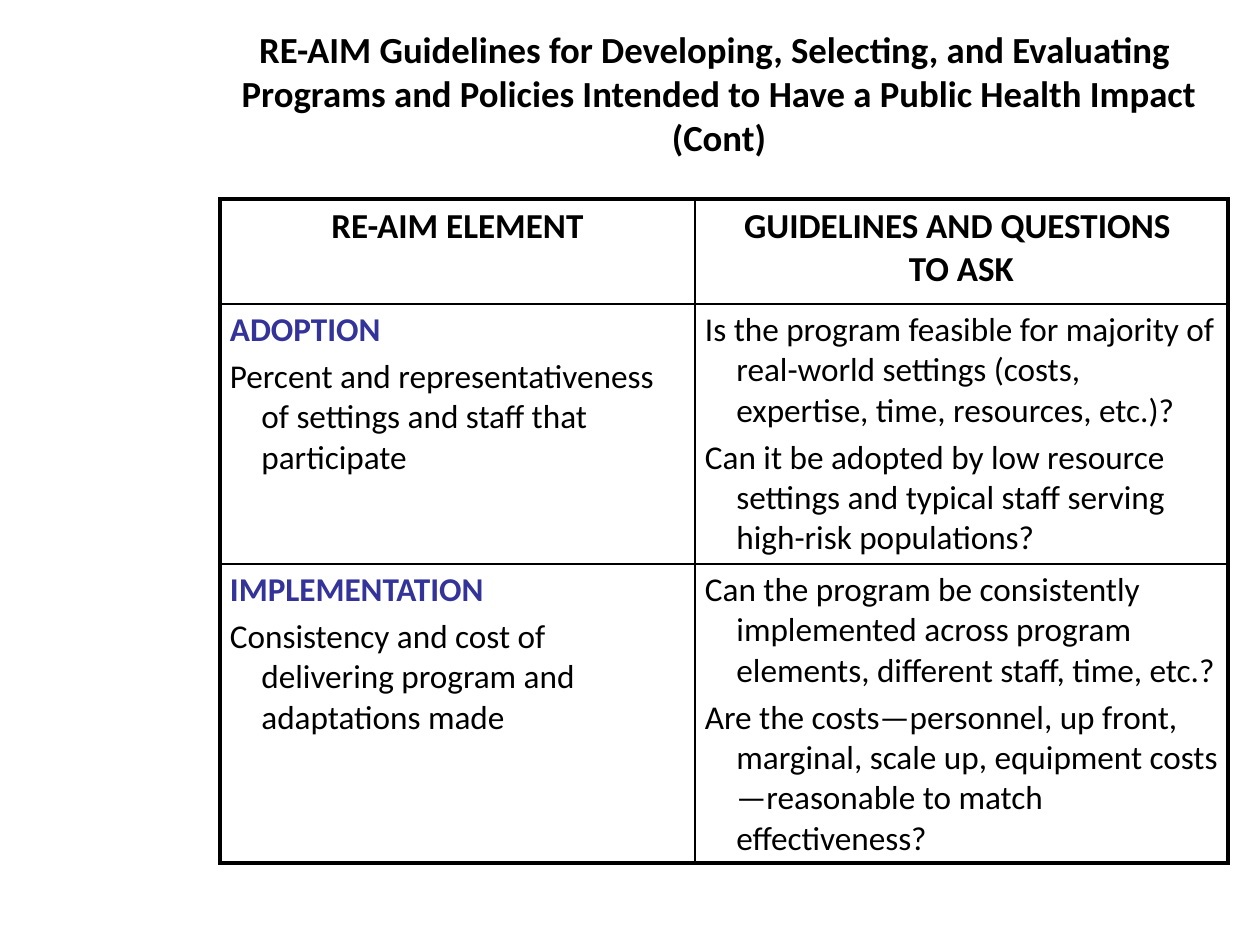
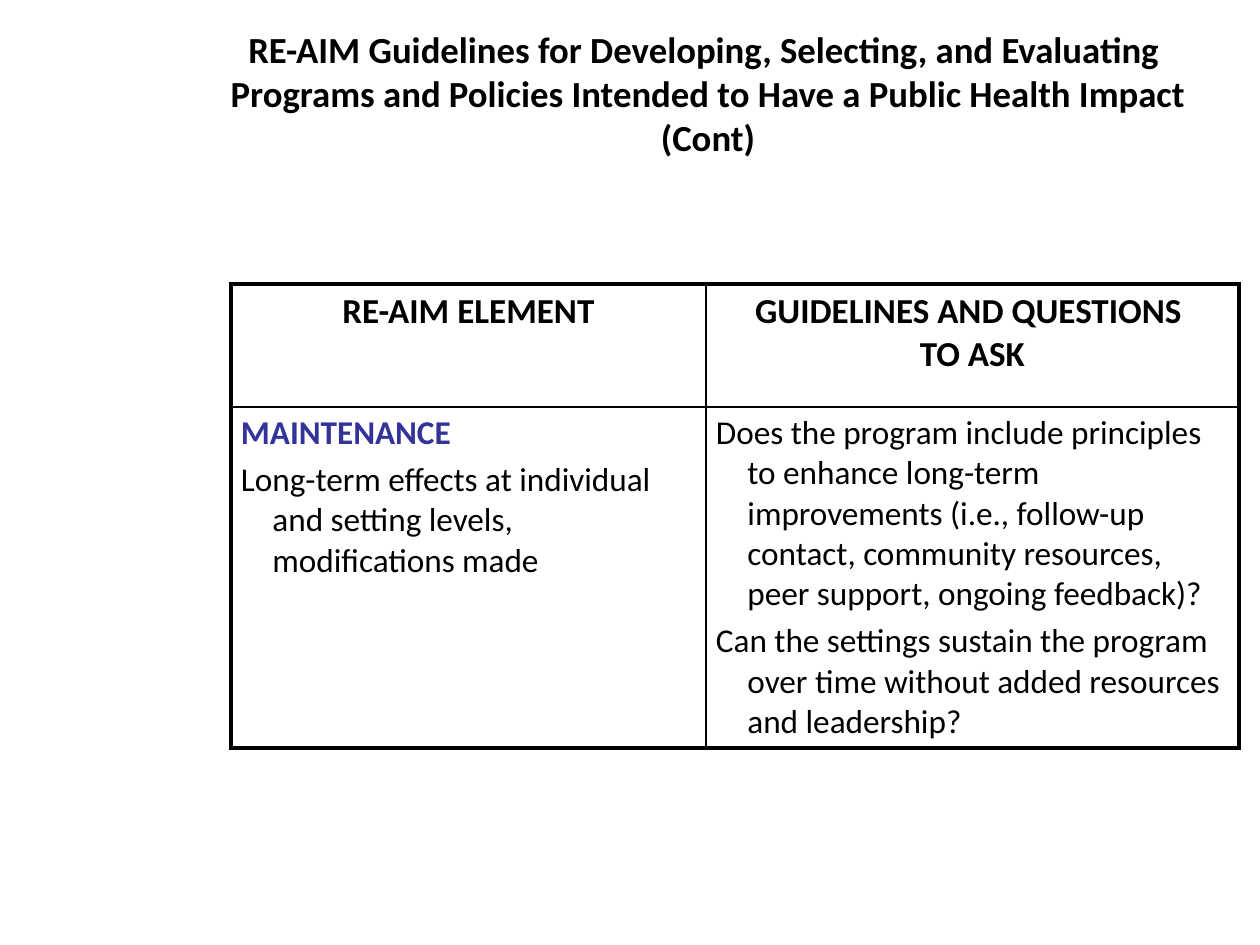
from lxml.etree import SubElement
from pptx import Presentation
from pptx.dml.color import RGBColor
from pptx.enum.text import MSO_ANCHOR as Anchor, PP_ALIGN as Align
from pptx.oxml.ns import qn
from pptx.util import Emu, Pt

PIXEL = 914400 // 126
COLORS = {"text": "000000", "element": "333399", "border": "000000"}
FONT = "Calibri"
TITLE_SIZE, HEADER_SIZE, BODY_SIZE = 21, 20, 19
OUTER_LINE, INNER_LINE = 2.25, 1
COLUMNS = (475, 533)
HANGING = 31.5
TITLE = ("RE-AIM Guidelines for Developing, Selecting, and Evaluating \n"
         "Programs and Policies Intended to Have a Public Health Impact (Cont)")
HEADERS = ("RE-AIM ELEMENT", "GUIDELINES AND QUESTIONS \nTO ASK")

# Each slide: title box, table origin, row heights, and its elements as
# (name, meaning, questions).
SLIDES = [
    {
        "title_box": (220, 14, 998, 158),
        "table_origin": (220, 199),
        "rows": (105, 260, 299),
        "elements": [
            ("ADOPTION",
             "Percent and representativeness of settings and staff that participate",
             ("Is the program feasible for majority of real-world settings "
              "(costs, expertise, time, resources, etc.)?",
              "Can it be adopted by low resource settings and typical staff "
              "serving high-risk populations?")),
            ("IMPLEMENTATION",
             "Consistency and cost of delivering program and adaptations made",
             ("Can the program be consistently implemented across program "
              "elements, different staff, time, etc.?",
              "Are the costs—personnel, up front, marginal, scale up, equipment "
              "costs—reasonable to match effectiveness?")),
        ],
    },
    {
        "title_box": (199, 14, 1018, 158),
        "table_origin": (231, 284),
        "rows": (123, 341),
        "elements": [
            ("MAINTENANCE",
             "Long-term effects at individual and setting levels, modifications made",
             ("Does the program include principles to enhance long-term "
              "improvements (i.e., follow-up contact, community resources, "
              "peer support, ongoing feedback)?",
              "Can the settings sustain the program over time without added "
              "resources and leadership?")),
        ],
    },
]


def px(length):
    """Turn pixels into EMU."""
    return Emu(round(length * PIXEL))


def add_text(paragraph, text, size, bold=False, color="text"):
    """Add text run by run, with a line break at each newline."""
    for index, line in enumerate(text.split("\n")):
        if index:
            paragraph.add_line_break()
        run = paragraph.add_run()
        run.text = line
        font = run.font
        font.name, font.size, font.bold = FONT, Pt(size), bold
        font.color.rgb = RGBColor.from_string(COLORS[color])


def add_title(slide, box):
    """Place the centred slide title in its box."""
    frame = slide.shapes.add_textbox(*map(px, box)).text_frame
    frame.word_wrap = True
    frame.vertical_anchor = Anchor.MIDDLE
    paragraph = frame.paragraphs[0]
    paragraph.alignment = Align.CENTER
    add_text(paragraph, TITLE, TITLE_SIZE, bold=True)


def set_borders(cell, widths):
    """Draw the left, right, top and bottom cell borders."""
    properties = cell._tc.get_or_add_tcPr()
    for side, width in zip("LRTB", widths):
        line = SubElement(properties, qn(f"a:ln{side}"), w=str(Pt(width)))
        fill = SubElement(line, qn("a:solidFill"))
        SubElement(fill, qn("a:srgbClr"), val=COLORS["border"])


def style_cell(cell, on_edges):
    """Set margins, borders (thick on outer edges) and an empty fill."""
    cell.margin_left = cell.margin_right = px(10)
    cell.margin_top = cell.margin_bottom = px(6)
    set_borders(cell, [OUTER_LINE if edge else INNER_LINE for edge in on_edges])
    cell.fill.background()


def fill_header(cell, text):
    """Write a centred column heading."""
    paragraph = cell.text_frame.paragraphs[0]
    paragraph.alignment = Align.CENTER
    add_text(paragraph, text, HEADER_SIZE, bold=True)


def fill_body(cell, texts, has_heading=False):
    """Write hanging paragraphs, the first one as a coloured heading if asked."""
    frame = cell.text_frame
    for index, text in enumerate(texts):
        paragraph = frame.add_paragraph() if index else frame.paragraphs[0]
        if index:
            paragraph.space_before = Pt(BODY_SIZE * 0.2)
        properties = paragraph._p.get_or_add_pPr()
        properties.set("marL", str(px(HANGING)))
        properties.set("indent", str(px(-HANGING)))
        heading = has_heading and index == 0
        add_text(paragraph, text, BODY_SIZE, heading,
                 "element" if heading else "text")


def add_guidelines_table(slide, origin, row_heights, elements):
    """Place the two-column table of elements and questions."""
    left, top = origin
    row_count, column_count = len(row_heights), len(COLUMNS)
    table = slide.shapes.add_table(
        row_count, column_count, px(left), px(top),
        px(sum(COLUMNS)), px(sum(row_heights))).table
    table.first_row = table.horz_banding = False
    for column, width in zip(table.columns, COLUMNS):
        column.width = px(width)
    for row_index, height in enumerate(row_heights):
        table.rows[row_index].height = px(height)
        for column_index in range(column_count):
            style_cell(table.cell(row_index, column_index),
                       (column_index == 0, column_index == column_count - 1,
                        row_index == 0, row_index == row_count - 1))
    for column_index, text in enumerate(HEADERS):
        fill_header(table.cell(0, column_index), text)
    for row_index, (name, meaning, questions) in enumerate(elements, 1):
        fill_body(table.cell(row_index, 0), (name, meaning), has_heading=True)
        fill_body(table.cell(row_index, 1), questions)


def build():
    """Build and save the presentation."""
    presentation = Presentation()
    presentation.slide_width, presentation.slide_height = px(1260), px(945)
    for content in SLIDES:
        slide = presentation.slides.add_slide(presentation.slide_layouts[6])
        add_title(slide, content["title_box"])
        add_guidelines_table(slide, content["table_origin"], content["rows"],
                             content["elements"])
    presentation.save("out.pptx")


build()
